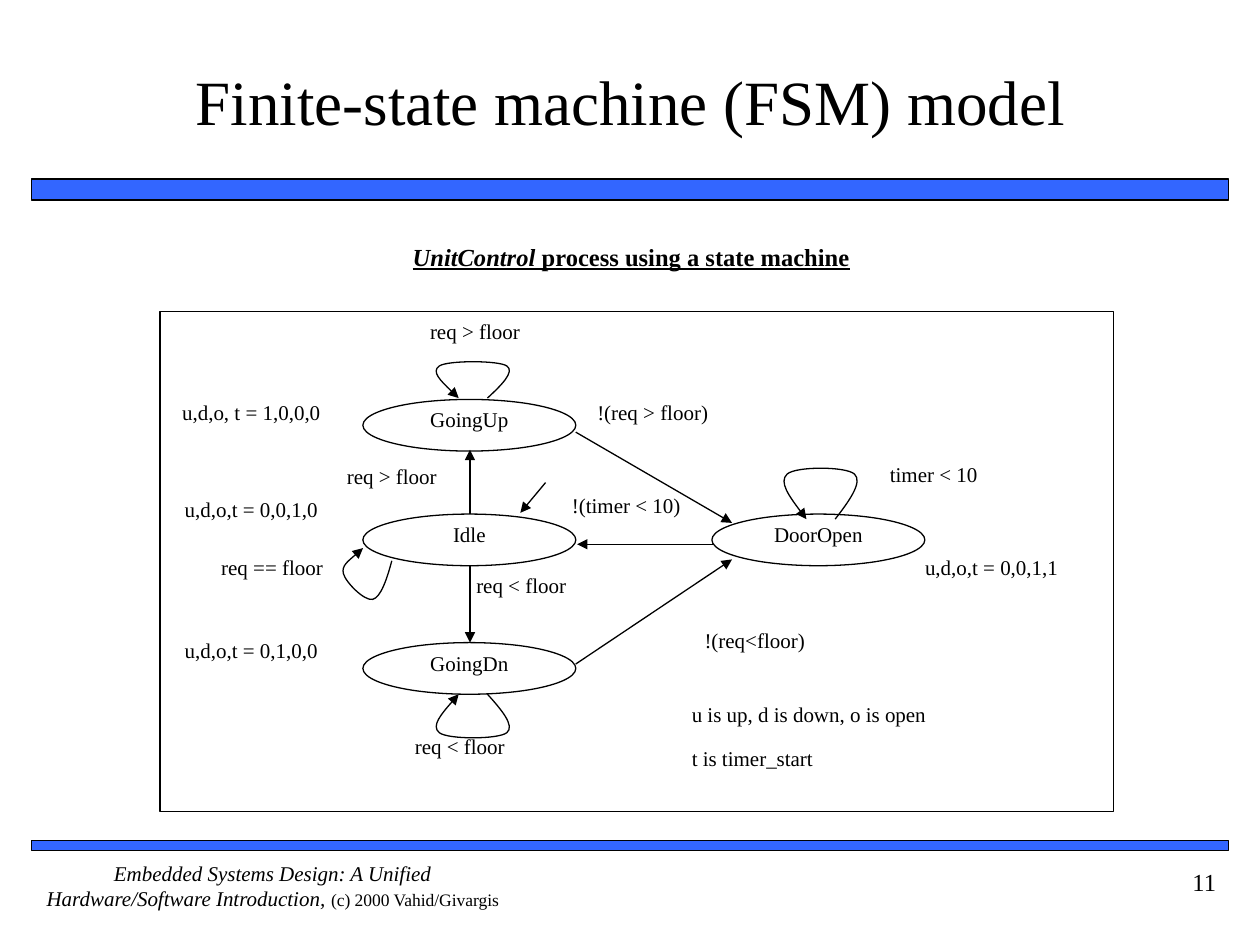
import pptx
import pptx.util
import pptx.dml.color
import pptx.enum.shapes
import pptx.enum.text
import pptx.oxml
import pptx.oxml.ns
from lxml import etree

BLACK = pptx.dml.color.RGBColor(0x00, 0x00, 0x00)
WHITE = pptx.dml.color.RGBColor(0xFF, 0xFF, 0xFF)
BLUE = pptx.dml.color.RGBColor(0x33, 0x66, 0xFF)
FONT = "Times New Roman"
COLUMNS, ROWS = 100, 75
WIDTH, HEIGHT = pptx.util.Inches(10), pptx.util.Inches(7.5)
STATE_SIZE = (16.9, 4.1)
LEFT, CENTER, RIGHT = (
    pptx.enum.text.PP_ALIGN.LEFT,
    pptx.enum.text.PP_ALIGN.CENTER,
    pptx.enum.text.PP_ALIGN.RIGHT,
)
KINDS = pptx.enum.shapes.MSO_SHAPE

STATES = [
    ("GoingUp", 28.8, 31.7),
    ("Idle", 28.8, 40.8),
    ("GoingDn", 28.8, 51),
    ("DoorOpen", 56.5, 40.8),
]
TRANSITIONS = [
    (37.3, 40.8, 37.3, 35.7),
    (37.3, 44.9, 37.3, 51),
    (56.6, 43.2, 45.8, 43.2),
    (45.7, 34.3, 58.1, 41.5),
    (45.7, 52.7, 58.1, 44.4),
    (43.3, 38.3, 41.3, 40.7),
]
UPPER_LOOP = [(0.67, 1), (0.83, 0.67), (1, 0.3), (0.9, 0.15), (0.8, 0),
              (0.2, 0), (0.1, 0.15), (0, 0.3), (0.17, 0.67), (0.33, 1)]
LOWER_LOOP = [(x, 1 - y) for x, y in UPPER_LOOP]
SIDE_LOOP = [(1, 0.24), (0.9, 0.6), (0.78, 0.93), (0.62, 0.97), (0.45, 1),
             (0.08, 0.64), (0.04, 0.48), (0, 0.33), (0.23, 0.17), (0.43, 0)]
LOOPS = [
    (UPPER_LOOP, 34.2, 28.6, 6.7, 3),
    (LOWER_LOOP, 34.2, 55.1, 6.7, 3.6),
    (UPPER_LOOP, 61.8, 37, 6.7, 4.2),
    (SIDE_LOOP, 27.1, 43.5, 4, 4.2),
]
LABELS = [
    ("req > floor", 32.3, 25.3, 10.8, CENTER),
    ("req > floor", 25.7, 36.8, 10.8, CENTER),
    ("req < floor", 37.8, 45.4, 10.8, LEFT),
    ("req < floor", 31.1, 58.2, 10.8, CENTER),
    ("req == floor", 16.2, 44, 10.8, CENTER),
    ("timer < 10", 68.7, 36.6, 10.8, CENTER),
    ("!(req > floor)", 47.4, 31.7, 23.8, LEFT),
    ("!(timer < 10)", 42, 39.1, 15.4, CENTER),
    ("!(req<floor)", 48, 49.8, 23.8, CENTER),
    ("u,d,o, t = 1,0,0,0", 11.1, 31.7, 17.7, CENTER),
    ("u,d,o,t = 0,0,1,0", 11.1, 39.4, 17.7, CENTER),
    ("u,d,o,t = 0,1,0,0", 11.1, 50.6, 17.7, CENTER),
    ("u,d,o,t = 0,0,1,1", 71.8, 44, 13.8, CENTER),
    ("u is up, d is down, o is open", 54.9, 55.7, 29.2, LEFT),
    ("t is timer_start", 54.9, 59.2, 29.2, LEFT),
]


def grid(*cells):
    steps = (WIDTH / COLUMNS, HEIGHT / ROWS)
    return [round(cell * steps[index % 2]) for index, cell in enumerate(cells)]


def set_frame(frame, anchor=pptx.enum.text.MSO_ANCHOR.TOP, side=0, end=0):
    frame.word_wrap = True
    frame.vertical_anchor = anchor
    frame.margin_left = frame.margin_right = pptx.util.Inches(side)
    frame.margin_top = frame.margin_bottom = pptx.util.Inches(end)


def set_paragraph(para, size, align):
    para.alignment = align
    para.font.name = FONT
    para.font.size = pptx.util.Pt(size)
    para.font.color.rgb = BLACK


def add_shape(page, kind, place, fill=None, weight=0.75):
    shape = page.shapes.add_shape(kind, *grid(*place))
    shape.shadow.inherit = False
    if fill is None:
        shape.fill.background()
    else:
        shape.fill.solid()
        shape.fill.fore_color.rgb = fill
    shape.line.color.rgb = BLACK
    shape.line.width = pptx.util.Pt(weight)
    return shape


def add_text(page, place, spans, size=12, align=CENTER, side=0, end=0):
    box = page.shapes.add_textbox(*grid(*place))
    set_frame(box.text_frame, side=side, end=end)
    para = box.text_frame.paragraphs[0]
    set_paragraph(para, size, align)
    for text in spans:
        para.add_run().text = text
    return para


def add_state(page, name, left, top):
    state = add_shape(page, KINDS.OVAL, (left, top, *STATE_SIZE), WHITE)
    set_frame(state.text_frame)
    state.text_frame.text = name
    set_paragraph(state.text_frame.paragraphs[0], 12, CENTER)


def set_arrow(shape):
    shape.line.color.rgb = BLACK
    shape.line.width = pptx.util.Pt(0.75)
    head = etree.SubElement(shape.line._get_or_add_ln(), pptx.oxml.ns.qn("a:tailEnd"))
    head.set("type", "triangle")


def add_transition(page, *ends):
    arrow = page.shapes.add_connector(
        pptx.enum.shapes.MSO_CONNECTOR.STRAIGHT, *grid(*ends))
    set_arrow(arrow)
    etree.SubElement(arrow._element.spPr, pptx.oxml.ns.qn("a:effectLst"))


def add_loop(page, outline, left, top, width, height):
    points = [tuple(grid(left + x * width, top + y * height)) for x, y in outline]
    builder = page.shapes.build_freeform(*points[0])
    builder.add_line_segments(points[1:], close=False)
    loop = builder.convert_to_shape()
    loop.shadow.inherit = False
    loop.fill.background()
    set_arrow(loop)
    segments = loop._element.findall(".//" + pptx.oxml.ns.qn("a:lnTo"))
    track = segments[0].getparent()
    for first in range(0, len(segments), 3):
        curve = etree.SubElement(track, pptx.oxml.ns.qn("a:cubicBezTo"))
        for segment in segments[first:first + 3]:
            curve.append(segment[0])
            track.remove(segment)


def add_title(page, text):
    title = page.shapes.title
    title.left, title.top, title.width, title.height = grid(4.2, 1.7, 91.7, 12.5)
    title.text_frame.text = text
    set_frame(title.text_frame, pptx.enum.text.MSO_ANCHOR.MIDDLE, end=0.05)
    set_paragraph(title.text_frame.paragraphs[0], 36, CENTER)


def add_footer(page):
    para = add_text(page, (2.5, 68.3, 38.3, 5), [
        "Embedded Systems Design: A Unified Hardware/Software Introduction, ",
        "(c) 2000 Vahid/Givargis",
    ])
    book, credit = para.runs
    book.font.italic = True
    credit.font.size = pptx.util.Pt(10)
    add_text(page, (87.5, 68.3, 10, 5), ["11"], 14, RIGHT, side=0.1, end=0.05)


def add_heading(page):
    para = add_text(page, (20.8, 19.2, 58.6, 2.3),
                    ["UnitControl", " process using a state machine"], 14)
    para.font.bold = True
    para.font.underline = True
    para.runs[0].font.italic = True


def main():
    deck = pptx.Presentation()
    deck.slide_width, deck.slide_height = WIDTH, HEIGHT
    page = deck.slides.add_slide(deck.slide_layouts[5])
    add_title(page, "Finite-state machine (FSM) model")
    for top, height in ((14.2, 1.7), (66.7, 0.8)):
        add_shape(page, KINDS.RECTANGLE, (2.5, top, 95, height), BLUE, 1)
    add_footer(page)
    add_heading(page)
    add_shape(page, KINDS.RECTANGLE, (12.7, 24.7, 75.7, 39.7))
    for state in STATES:
        add_state(page, *state)
    for transition in TRANSITIONS:
        add_transition(page, *transition)
    for loop in LOOPS:
        add_loop(page, *loop)
    for text, left, top, width, align in LABELS:
        add_text(page, (left, top, width, 3.1), [text], align=align)
    deck.save("out.pptx")


if __name__ == "__main__":
    main()
